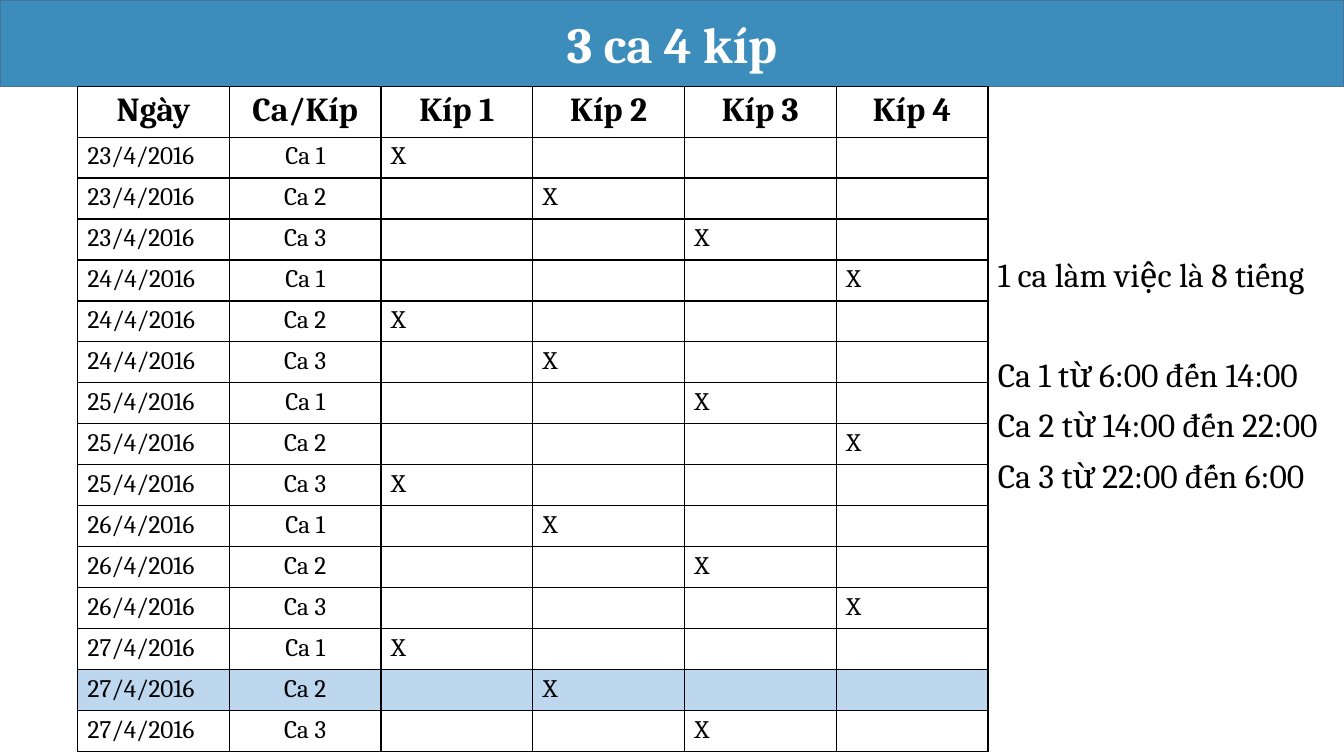
import pptx
import pptx.util
import pptx.dml.color
import pptx.enum.text
import pptx.oxml.ns
from dataclasses import dataclass
from lxml import etree
from pptx.util import Inches

ALIGN = pptx.enum.text.PP_ALIGN
ANCHOR = pptx.enum.text.MSO_ANCHOR


@dataclass(frozen=True)
class Theme:
    font: str = "Cambria"
    banner: str = "3C8DBC"
    banner_line: str = "43739E"
    white: str = "FFFFFF"
    black: str = "000000"
    highlight: str = "BDD7EE"
    title_size: int = 36
    large_size: int = 24
    body_size: int = 18


THEME = Theme()
CREWS = 4
SHIFTS = 3
DAYS = range(23, 28)
HIGHLIGHTED = ("27/4/2016", "Ca 2")


def rgb(value):
    return pptx.dml.color.RGBColor.from_string(value)


def add_run(p, text, size, color=THEME.black, bold=False):
    r = p.add_run()
    r.text = text
    r.font.name = THEME.font
    r.font.size = pptx.util.Pt(size)
    r.font.bold = bold
    r.font.color.rgb = rgb(color)


def set_borders(cell):
    tcPr = cell._tc.get_or_add_tcPr()
    for side in ("a:lnL", "a:lnR", "a:lnT", "a:lnB"):
        ln = etree.SubElement(tcPr, pptx.oxml.ns.qn(side), w=str(pptx.util.Pt(1)))
        fill = etree.SubElement(ln, pptx.oxml.ns.qn("a:solidFill"))
        etree.SubElement(fill, pptx.oxml.ns.qn("a:srgbClr"), val=THEME.black)


def add_banner(s, left, top, width, height):
    sp = s.shapes.title
    sp.left, sp.top, sp.width, sp.height = left, top, width, height
    sp.fill.solid()
    sp.fill.fore_color.rgb = rgb(THEME.banner)
    sp.line.color.rgb = rgb(THEME.banner_line)
    sp.line.width = pptx.util.Pt(1)
    tf = sp.text_frame
    tf.auto_size = pptx.enum.text.MSO_AUTO_SIZE.NONE
    tf.vertical_anchor = ANCHOR.MIDDLE
    p = tf.paragraphs[0]
    p.alignment = ALIGN.CENTER
    add_run(p, "3 ca 4 kíp", THEME.title_size, THEME.white, True)


def schedule_rows():
    """Give the crews the shifts in turn, one shift after another."""
    rows = [["Ngày", "Ca/Kíp"] + [f"Kíp {n + 1}" for n in range(CREWS)]]
    slots = [(day, shift) for day in DAYS for shift in range(1, SHIFTS + 1)]
    for i, (day, shift) in enumerate(slots):
        marks = ["X" if crew == i % CREWS else "" for crew in range(CREWS)]
        rows.append([f"{day}/4/2016", f"Ca {shift}"] + marks)
    return rows


def add_schedule(s, left, top, width, height):
    rows = schedule_rows()
    table = s.shapes.add_table(
        len(rows), len(rows[0]), left, top, width, height).table
    table.first_row = table.horz_banding = False
    for column in table.columns:
        column.width = width // len(rows[0])
    header_height = Inches(0.49)
    for i, row in enumerate(rows):
        header = i == 0
        table.rows[i].height = (
            header_height if header else (height - header_height) // (len(rows) - 1))
        marked = tuple(row[:2]) == HIGHLIGHTED
        for j, text in enumerate(row):
            cell = table.cell(i, j)
            set_borders(cell)
            cell.fill.solid()
            cell.fill.fore_color.rgb = rgb(THEME.highlight if marked else THEME.white)
            p = cell.text_frame.paragraphs[0]
            p.alignment = ALIGN.CENTER if header or j == 1 else ALIGN.LEFT
            if text:
                size = THEME.large_size if header else THEME.body_size
                add_run(p, text, size, bold=header)


def add_shift_hours(s, left, top, width, height):
    tf = s.shapes.add_textbox(left, top, width, height).text_frame
    tf.word_wrap = True
    lines = (
        ("1 ca làm việc là 8 tiếng", 10),
        ("Ca 1 từ 6:00 đến 14:00", 46),
        ("Ca 2 từ 14:00 đến 22:00", 10),
        ("Ca 3 từ 22:00 đến 6:00", 10),
    )
    for i, (text, space_before) in enumerate(lines):
        p = tf.add_paragraph() if i else tf.paragraphs[0]
        p.line_spacing = 0.9
        p.space_before = pptx.util.Pt(space_before)
        add_run(p, text, THEME.large_size)


def main():
    prs = pptx.Presentation()
    prs.slide_width, prs.slide_height = Inches(13.33), Inches(7.5)
    s = prs.slides.add_slide(prs.slide_layouts[5])
    banner_height = Inches(0.86)
    table_left, table_width = Inches(0.77), Inches(9.03)
    notes_left = table_left + table_width
    add_banner(s, 0, 0, prs.slide_width, banner_height)
    add_shift_hours(s, notes_left, Inches(2.51),
                    prs.slide_width - notes_left, Inches(2.71))
    add_schedule(s, table_left, banner_height, table_width, Inches(6.59))
    prs.save("out.pptx")


if __name__ == "__main__":
    main()
